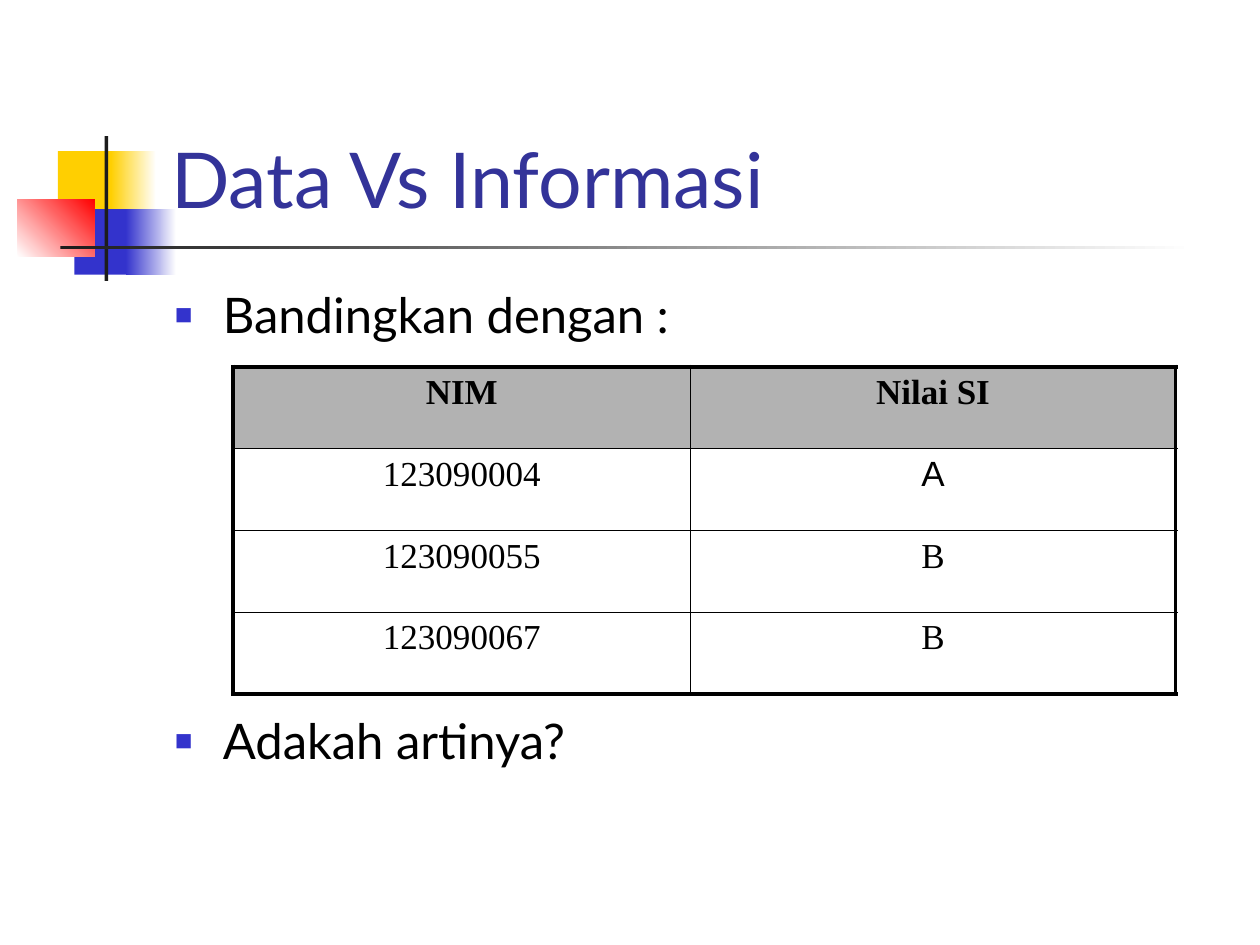
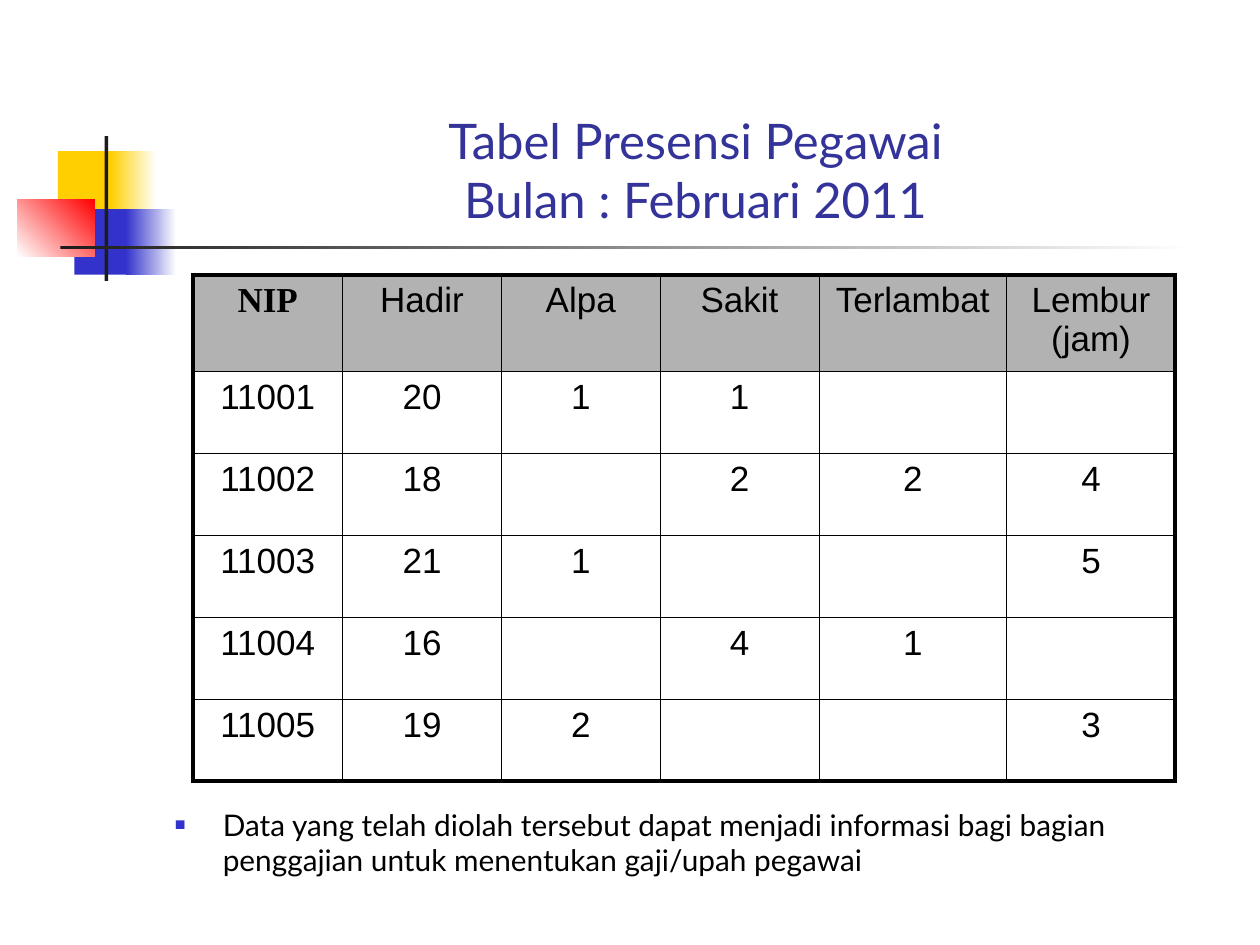
"""Build two slides that compare raw data with information."""
from dataclasses import dataclass
from itertools import accumulate

from lxml import etree
from pptx import Presentation
from pptx.dml.color import RGBColor
from pptx.enum.shapes import MSO_SHAPE
from pptx.enum.text import MSO_ANCHOR, MSO_AUTO_SIZE, PP_ALIGN
from pptx.oxml.ns import qn
from pptx.util import Inches, Pt

RECTANGLE = MSO_SHAPE.RECTANGLE
BOTTOM = MSO_ANCHOR.BOTTOM
NO_AUTOFIT = MSO_AUTO_SIZE.NONE
LEFT, CENTER = PP_ALIGN.LEFT, PP_ALIGN.CENTER


@dataclass(frozen=True)
class Theme:
    """Colours, fonts and type sizes shared by both slides."""
    title: str = "333399"
    text: str = "000000"
    header: str = "B2B2B2"
    paper: str = "FFFFFF"
    yellow: str = "FFCF01"
    blue: str = "3333CC"
    red: str = "FF0000"
    ink: str = "1C1C1C"
    main_font: str = "Lato"
    serif: str = "Times New Roman"
    sans: str = "Arial"
    cell_size: float = 20
    thick: float = 2.5
    thin: float = 0.45
    bullet_share: int = 60


THEME = Theme()
SLIDE_SIZE = (10, 7.5)
TITLE_BOX = (1.26, 8.52, 1.6)
BODY_LEFT, BODY_WIDTH, BULLET_INDENT = 1.29, 8.5, 0.38

ORNAMENT = [
    ((0.46, 1.2, 0.48, 0.52), (THEME.yellow,), 0),
    ((0.88, 1.2, 0.36, 0.52), (THEME.yellow, THEME.paper), 0),
    ((0.59, 1.66, 0.46, 0.52), (THEME.blue,), 0),
    ((1, 1.66, 0.4, 0.52), (THEME.blue, THEME.paper), 0),
    ((0.14, 1.58, 0.61, 0.46), (THEME.paper, THEME.red), 45),
    ((0.83, 1.08, 0.03, 1.15), (THEME.ink,), 0),
    ((0.48, 1.95, 9, 0.03), (THEME.ink, THEME.paper), 0),
]

SLIDES = [
    {
        "title": ["Data Vs Informasi"],
        "title_style": {"top": 0.23, "size": 44, "align": LEFT},
        "bullets": [("Bandingkan dengan :", 7), ("Adakah artinya?", 210)],
        "bullet_style": {"top": 2.21, "height": 4.5, "size": 28},
        "table": {
            "origin": (1.85, 2.91),
            "columns": [3.63, 3.85],
            "rows": [0.65] * 4,
            "serif_cells": {(0, 0), (0, 1), (1, 0), (2, 0), (2, 1), (3, 0), (3, 1)},
            "values": [
                ["NIM", "Nilai SI"],
                ["123090004", "A"],
                ["123090055", "B"],
                ["123090067", "B"],
            ],
        },
    },
    {
        "title": ["Tabel Presensi Pegawai", "Bulan : Februari 2011"],
        "title_style": {"top": 0.26, "size": 28, "align": CENTER},
        "bullets": [("Data yang telah diolah tersebut dapat menjadi informasi bagi bagian "
                     "penggajian untuk menentukan gaji/upah pegawai", 5)],
        "bullet_style": {"top": 6.35, "height": 0.71, "size": 17},
        "table": {
            "origin": (1.53, 2.18),
            "columns": [1.19, 1.26, 1.26, 1.26, 1.49, 1.34],
            "rows": [0.77] + [0.65] * 5,
            "serif_cells": {(0, 0)},
            "values": [
                ["NIP", "Hadir", "Alpa", "Sakit", "Terlambat", "Lembur\n(jam)"],
                ["11001", "20", "1", "1", "", ""],
                ["11002", "18", "", "2", "2", "4"],
                ["11003", "21", "1", "", "", "5"],
                ["11004", "16", "", "4", "1", ""],
                ["11005", "19", "2", "", "", "3"],
            ],
        },
    },
]


def inches(*lengths):
    """Convert a series of lengths to inches."""
    return [Inches(length) for length in lengths]


def add_run(paragraph, text, font, size, color, bold=False):
    """Add one formatted run to a paragraph."""
    run = paragraph.add_run()
    run.text = text
    run.font.name, run.font.size, run.font.bold = font, Pt(size), bold
    run.font.color.rgb = RGBColor.from_string(color)


def add_ornament(slide):
    """Draw the coloured blocks and the two rules beside the title."""
    for box, colors, angle in ORNAMENT:
        block = slide.shapes.add_shape(RECTANGLE, *inches(*box))
        block.shadow.inherit = False
        block.line.fill.background()
        if len(colors) == 1:
            block.fill.solid()
            block.fill.fore_color.rgb = RGBColor.from_string(colors[0])
            continue
        block.fill.gradient()
        block.fill.gradient_angle = angle
        for stop, color in zip(block.fill.gradient_stops, colors):
            stop.color.rgb = RGBColor.from_string(color)


def set_title(slide, lines, top, size, align):
    """Place the title over the ornament and write its lines."""
    title = slide.shapes.title
    slide.shapes._spTree.append(title._element)
    left, width, height = TITLE_BOX
    title.left, title.top, title.width, title.height = inches(left, top, width, height)
    frame = title.text_frame
    frame.auto_size, frame.vertical_anchor = NO_AUTOFIT, BOTTOM
    paragraph = frame.paragraphs[0]
    paragraph.alignment = align
    for index, line in enumerate(lines):
        if index:
            paragraph.add_line_break()
        add_run(paragraph, line, THEME.main_font, size, THEME.title)


def set_bullet(paragraph):
    """Give a paragraph a hanging square bullet."""
    properties = paragraph._p.get_or_add_pPr()
    indent = Inches(BULLET_INDENT)
    properties.set("marL", str(indent))
    properties.set("indent", str(-indent))
    color = etree.SubElement(properties, qn("a:buClr"))
    etree.SubElement(color, qn("a:srgbClr"), val=THEME.blue)
    etree.SubElement(properties, qn("a:buSzPct"), val=str(THEME.bullet_share * 1000))
    etree.SubElement(properties, qn("a:buFont"), typeface=THEME.sans)
    etree.SubElement(properties, qn("a:buChar"), char="■")


def add_bullets(slide, bullets, top, height, size):
    """Add the bulleted statements, each with its space before."""
    box = slide.shapes.add_textbox(*inches(BODY_LEFT, top, BODY_WIDTH, height))
    frame = box.text_frame
    frame.word_wrap = True
    for index, (statement, space) in enumerate(bullets):
        paragraph = frame.add_paragraph() if index else frame.paragraphs[0]
        paragraph.space_before = Pt(space)
        set_bullet(paragraph)
        add_run(paragraph, statement, THEME.main_font, size, THEME.text)


def set_borders(cell, outer_sides):
    """Draw thick lines on the outer sides of a cell and thin ones elsewhere."""
    properties = cell._tc.get_or_add_tcPr()
    for position, side in enumerate("LRTB"):
        weight = THEME.thick if side in outer_sides else THEME.thin
        line = etree.Element(qn(f"a:ln{side}"), w=str(Pt(weight)))
        fill = etree.SubElement(line, qn("a:solidFill"))
        etree.SubElement(fill, qn("a:srgbClr"), val=THEME.text)
        properties.insert(position, line)


def fill_cell(cell, value, is_header, is_serif):
    """Colour a cell and write its centred lines."""
    if is_header:
        cell.fill.solid()
        cell.fill.fore_color.rgb = RGBColor.from_string(THEME.header)
    else:
        cell.fill.background()
    font = THEME.serif if is_serif else THEME.sans
    for index, line in enumerate(value.split("\n") if value else []):
        frame = cell.text_frame
        paragraph = frame.add_paragraph() if index else frame.paragraphs[0]
        paragraph.alignment = CENTER
        add_run(paragraph, line, font, THEME.cell_size, THEME.text, is_header and is_serif)


def add_grid(slide, origin, columns, rows, serif_cells, values):
    """Add a table with a grey header and a thick frame."""
    extent = [list(accumulate(lengths))[-1] for lengths in (columns, rows)]
    table = slide.shapes.add_table(len(rows), len(columns), *inches(*origin, *extent)).table
    table.first_row = table.horz_banding = False
    for column, width in zip(table.columns, columns):
        column.width = Inches(width)
    for row, height in zip(table.rows, rows):
        row.height = Inches(height)
    for r, record in enumerate(values):
        for c, value in enumerate(record):
            cell = table.cell(r, c)
            fill_cell(cell, value, r == 0, (r, c) in serif_cells)
            edges = {"L": c == 0, "R": c == len(columns) - 1,
                     "T": r == 0, "B": r == len(rows) - 1}
            set_borders(cell, [side for side, is_outer in edges.items() if is_outer])


def main():
    """Build and save the presentation."""
    deck = Presentation()
    deck.slide_width, deck.slide_height = inches(*SLIDE_SIZE)
    title_only = deck.slide_layouts[5]
    for content in SLIDES:
        slide = deck.slides.add_slide(title_only)
        add_ornament(slide)
        set_title(slide, content["title"], **content["title_style"])
        add_bullets(slide, content["bullets"], **content["bullet_style"])
        add_grid(slide, **content["table"])
    deck.save("out.pptx")


if __name__ == "__main__":
    main()
